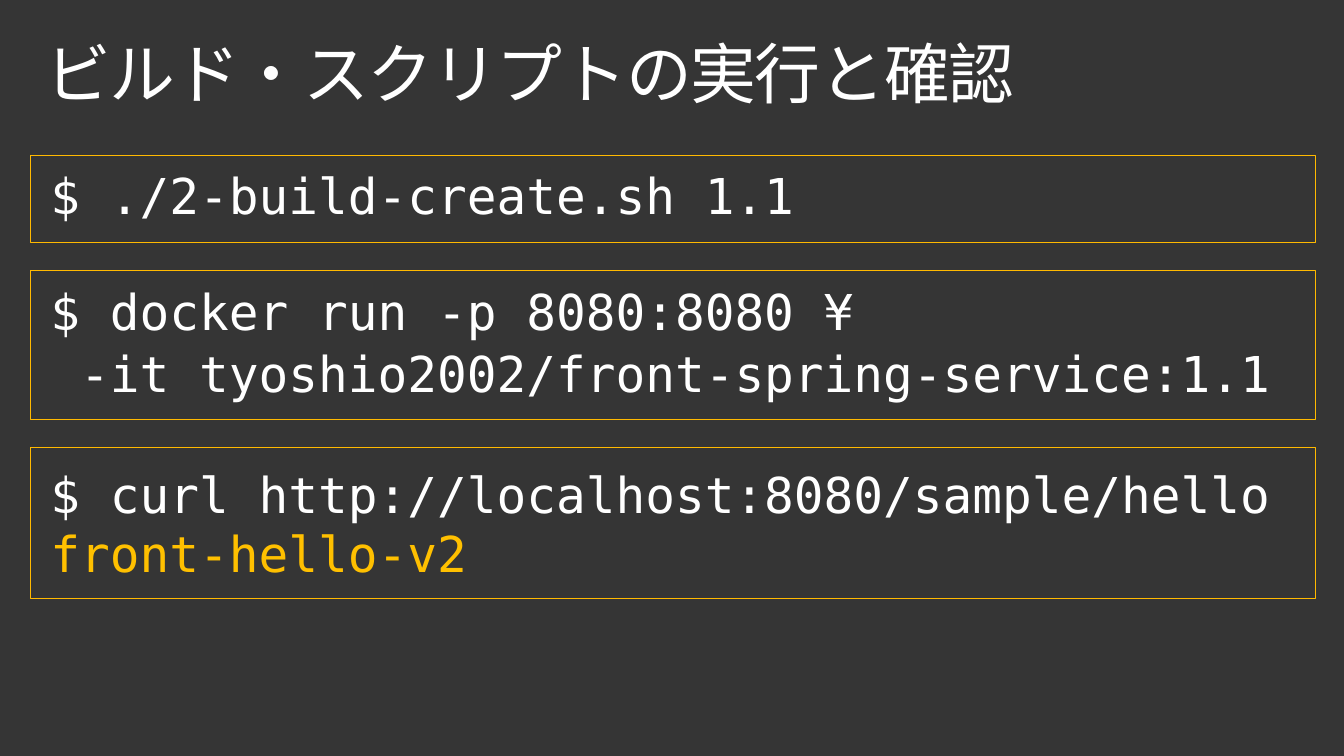
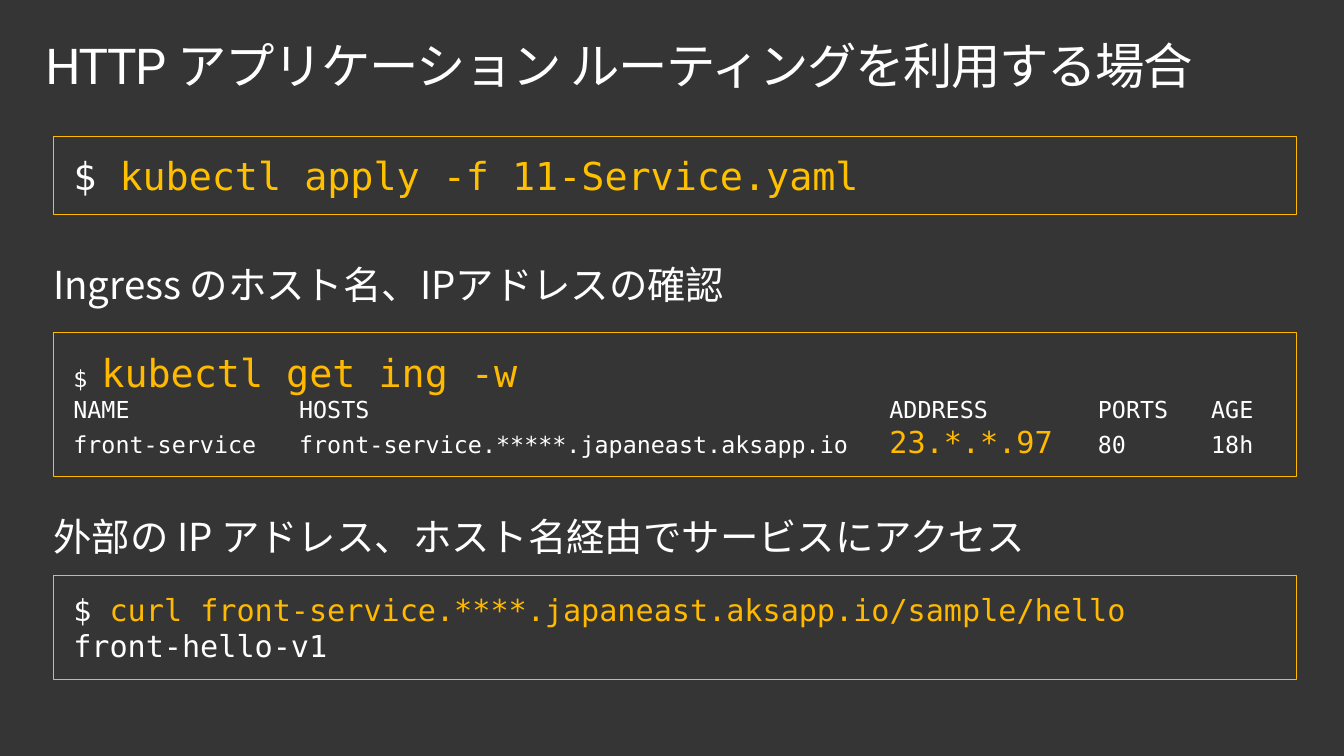
"""Build two dark slides of shell commands with their output."""
from lxml import etree
from pptx import Presentation
from pptx.dml.color import RGBColor
from pptx.enum import shapes, text
from pptx.oxml import ns
from pptx.util import Pt

DARK = RGBColor(0x35, 0x35, 0x35)
WHITE = RGBColor(0xFF, 0xFF, 0xFF)
AMBER = RGBColor(0xFF, 0xB9, 0x00)
GOLD = RGBColor(0xFF, 0xC0, 0x00)
MONO, HEAD, BODY = "DejaVu Sans Mono", "Roboto", "Noto Sans CJK JP"
TITLE_BOX = (21.6, 23, 936, 72)
PAD, TITLE_PAD = (14.4, 11.5), (11.5, 7.2)
COLUMNS = (164.5, 594.6, 746.5, 829)
LOOSE = dict(line=0.9, after=6)

SLIDES = [
    dict(title="ビルド・スクリプトの実行と確認", size=48, left=22.3, width=936, labels=[], boxes=[
        (113, 63.4, LOOSE, [[("$ ./2-build-create.sh 1.1", 36, WHITE)]]),
        (197.3, 108.7, LOOSE, [
            [("$ docker run -p 8080:8080 ¥", 36, WHITE)],
            [(" -it tyoshio2002/front-spring-service:1.1", 36, WHITE)]]),
        (326.2, 110.2, {}, [
            [("$ curl http://localhost:8080/sample/hello", 36, WHITE)],
            [("front-hello-v2", 36, GOLD)]]),
    ]),
    dict(title="HTTP アプリケーション ルーティングを利用する場合", size=36, left=39, width=905.8, labels=[
        (182.2, "Ingress のホスト名、IPアドレスの確認"),
        (365.8, "外部の IP アドレス、ホスト名経由でサービスにアクセス"),
    ], boxes=[
        (99.4, 56.9, {}, [[("$ ", 28, WHITE), ("kubectl apply -f 11-Service.yaml", 28, GOLD)]]),
        (242.6, 104.4, dict(tabs=COLUMNS), [
            [("$ ", 17, WHITE), ("kubectl get ing -w", 28, AMBER)],
            [("NAME\tHOSTS\tADDRESS\tPORTS\tAGE", 17, WHITE)],
            [("front-service\tfront-service.*****.japaneast.aksapp.io\t", 17, WHITE),
             ("23.*.*.97", 22, AMBER), ("\t80\t18h", 17, WHITE)]]),
        (419, 76.3, {}, [
            [("$ ", 22, WHITE),
             ("curl front-service.****.japaneast.aksapp.io/sample/hello", 22, AMBER)],
            [("front-hello-v1", 22, WHITE)]]),
    ]),
]


def write(sp, lines, font=MONO, pad=PAD, anchor=text.MSO_ANCHOR.MIDDLE,
          line=1.0, after=0, tabs=(), spacing=None):
    tf = sp.text_frame
    tf.word_wrap = True
    tf.auto_size = text.MSO_AUTO_SIZE.NONE
    tf.vertical_anchor = anchor
    tf.margin_left = tf.margin_right = Pt(pad[0])
    tf.margin_top = tf.margin_bottom = Pt(pad[1])
    for i, runs in enumerate(lines):
        p = tf.add_paragraph() if i else tf.paragraphs[0]
        p.alignment = text.PP_ALIGN.LEFT
        p.line_spacing, p.space_before, p.space_after = line, Pt(0), Pt(after)
        if tabs:
            stops = etree.SubElement(p._p.get_or_add_pPr(), ns.qn("a:tabLst"))
            for pos in tabs:
                etree.SubElement(stops, ns.qn("a:tab"), pos=str(int(Pt(pos))), algn="l")
        for words, size, color in runs:
            r = p.add_run()
            r.text = words
            r.font.name, r.font.size, r.font.color.rgb = font, Pt(size), color
            if spacing is not None:
                r.font._element.set("spc", str(spacing * 100))


def add_title(s, words, size):
    sp = s.shapes.title
    sp.left, sp.top, sp.width, sp.height = map(Pt, TITLE_BOX)
    write(sp, [[(words, size, WHITE)]], font=HEAD, pad=TITLE_PAD,
          anchor=text.MSO_ANCHOR.TOP, line=0.9, spacing=-1)


def add_box(s, left, top, width, height, lines, **fmt):
    sp = s.shapes.add_shape(shapes.MSO_SHAPE.RECTANGLE, *map(Pt, (left, top, width, height)))
    sp.shadow.inherit = False
    sp.fill.background()
    sp.line.color.rgb, sp.line.width = AMBER, Pt(0.75)
    write(sp, lines, **fmt)


def add_label(s, top, words):
    sp = s.shapes.add_textbox(*map(Pt, (24.5, top, 956, 54)))
    write(sp, [[(words, 28, WHITE)]], font=BODY, anchor=text.MSO_ANCHOR.TOP, **LOOSE)


def main():
    prs = Presentation()
    prs.slide_width, prs.slide_height = Pt(979.2), Pt(550.8)
    fill = prs.slide_master.background.fill
    fill.solid()
    fill.fore_color.rgb = DARK
    for spread in SLIDES:
        s = prs.slides.add_slide(prs.slide_layouts.get_by_name("Title Only"))
        add_title(s, spread["title"], spread["size"])
        for top, height, fmt, lines in spread["boxes"]:
            add_box(s, spread["left"], top, spread["width"], height, lines, **fmt)
        for top, words in spread["labels"]:
            add_label(s, top, words)
    prs.save("out.pptx")


if __name__ == "__main__":
    main()
